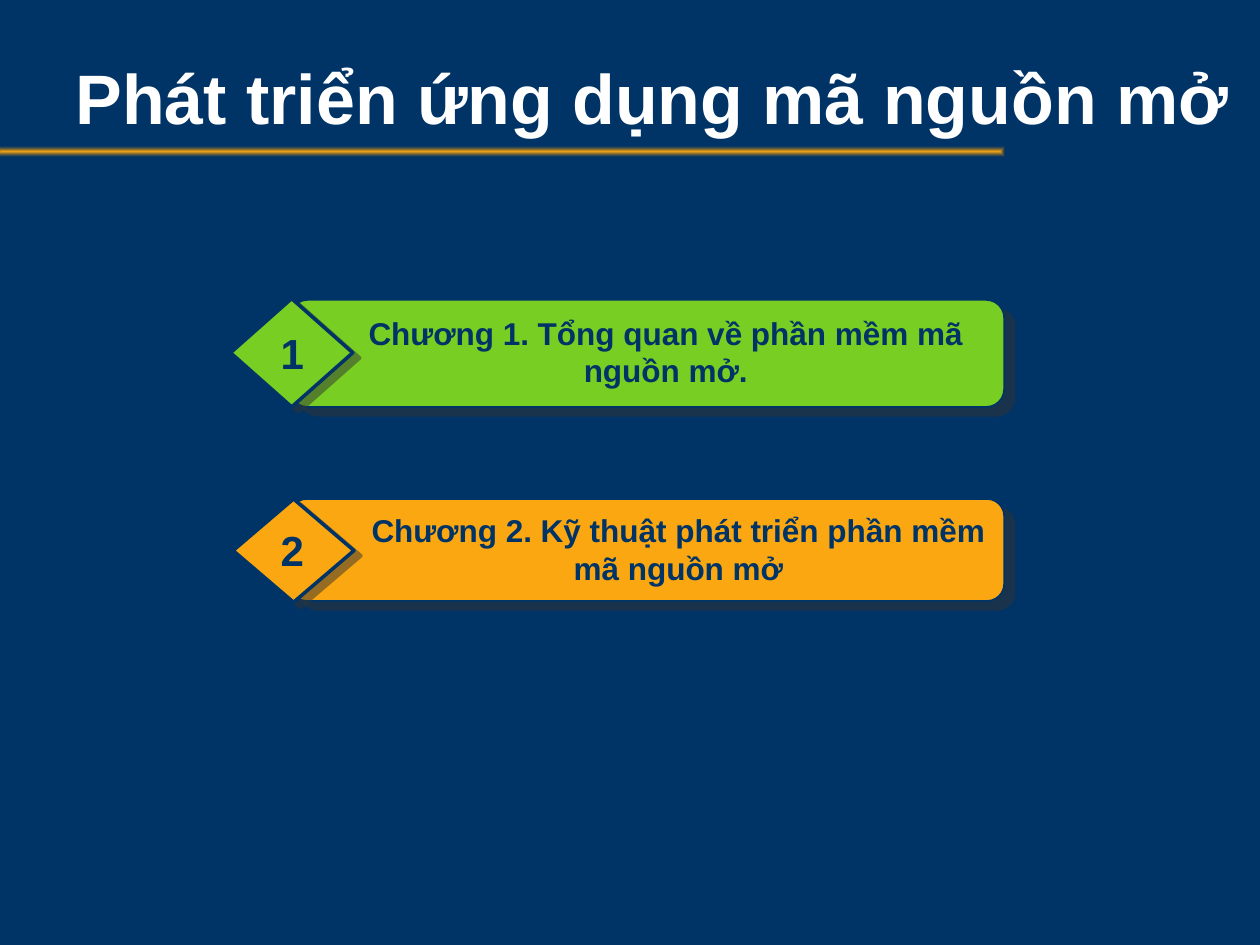
from dataclasses import dataclass

from lxml import etree
from pptx import Presentation
from pptx.dml.color import RGBColor
from pptx.enum.shapes import MSO_SHAPE as Shape
from pptx.enum.text import MSO_ANCHOR as Anchor, PP_ALIGN as Align
from pptx.oxml import parse_xml
from pptx.oxml.ns import nsdecls, qn
from pptx.util import Inches, Pt


@dataclass(frozen=True)
class Theme:
    font: str = "Arial"
    navy: str = "003366"
    white: str = "FFFFFF"
    green: str = "79CE24"
    orange: str = "FAA712"
    bronze: str = "B3770D"
    shadow: str = "333333"
    title_size: int = 40
    number_size: int = 24
    label_size: int = 18


@dataclass(frozen=True)
class Area:
    left: float
    top: float
    width: float
    height: float

    def lengths(self) -> list:
        return [Inches(v) for v in (self.left, self.top, self.width, self.height)]


@dataclass(frozen=True)
class Chapter:
    number: str
    label: str
    color: str
    bar: Area
    diamond: Area
    label_area: Area
    number_area: Area


THEME = Theme()

CHAPTERS = [
    Chapter("1", "Chương 1. Tổng quan về phần mềm mã nguồn mở.", THEME.green,
            Area(2.3, 2.38, 5.67, 0.85), Area(1.83, 2.37, 0.97, 0.86),
            Area(2.6, 2.44, 5.37, 1.01), Area(2.09, 2.55, 0.46, 0.51)),
    Chapter("2", "Chương 2. Kỹ thuật phát triển phần mềm mã nguồn mở", THEME.orange,
            Area(2.3, 3.96, 5.67, 0.81), Area(1.85, 3.96, 0.96, 0.82),
            Area(2.8, 4.01, 5.17, 0.71), Area(2.09, 4.11, 0.46, 0.51)),
]


def add_text(page, area: Area, text: str, size: int, color: str,
             align=Align.CENTER, anchor=Anchor.TOP, wrap: bool = True) -> None:
    frame = page.shapes.add_textbox(*area.lengths()).text_frame
    frame.word_wrap = wrap
    frame.vertical_anchor = anchor
    para = frame.paragraphs[0]
    para.alignment = align
    span = para.add_run()
    span.text = text
    formats = {"name": THEME.font, "size": Pt(size), "bold": True}
    for name, value in formats.items():
        setattr(span.font, name, value)
    span.font.color.rgb = RGBColor.from_string(color)


def add_shadow(box, distance: float, angle: int) -> None:
    box.shadow.inherit = False
    effects = box._element.spPr.find(qn("a:effectLst"))
    outer = etree.SubElement(effects, qn("a:outerShdw"), {
        "blurRad": "0", "dist": str(int(Pt(distance))), "dir": str(angle * 60000),
        "algn": "ctr", "rotWithShape": "0"})
    color = etree.SubElement(outer, qn("a:srgbClr"), val=THEME.shadow)
    etree.SubElement(color, qn("a:alpha"), val="50000")


def add_block(page, kind, area: Area, color: str, line_width: float,
              distance: float, angle: int):
    box = page.shapes.add_shape(kind, *area.lengths())
    box.fill.solid()
    box.fill.fore_color.rgb = RGBColor.from_string(color)
    box.line.color.rgb = RGBColor.from_string(THEME.navy)
    box.line.width = Pt(line_width)
    add_shadow(box, distance, angle)
    return box


def add_title_rule(page, area: Area) -> None:
    rule = page.shapes.add_shape(Shape.RECTANGLE, *area.lengths())
    rule.shadow.inherit = False
    rule.line.fill.background()
    # Glow from the centre that fades out at the edges
    gradient = parse_xml(
        f'<a:gradFill {nsdecls("a")} rotWithShape="1"><a:gsLst>'
        f'<a:gs pos="0"><a:srgbClr val="{THEME.orange}"/></a:gs>'
        f'<a:gs pos="100000"><a:srgbClr val="{THEME.bronze}">'
        '<a:alpha val="0"/></a:srgbClr></a:gs></a:gsLst>'
        '<a:path path="shape"><a:fillToRect l="50000" t="50000" r="50000" b="50000"/>'
        '</a:path></a:gradFill>')
    rule._element.spPr.find(qn("a:prstGeom")).addnext(gradient)


def add_chapter(page, chapter: Chapter) -> None:
    bar = add_block(page, Shape.ROUNDED_RECTANGLE, chapter.bar, chapter.color, 1, 7.8, 40)
    bar.adjustments[0] = 0.167
    add_block(page, Shape.DIAMOND, chapter.diamond, chapter.color, 2, 5, 37)
    add_text(page, chapter.label_area, chapter.label, THEME.label_size, THEME.navy)
    add_text(page, chapter.number_area, chapter.number, THEME.number_size, THEME.navy,
             wrap=False)


def main() -> None:
    deck = Presentation()
    deck.slide_width, deck.slide_height = Inches(10), Inches(7.5)
    page = deck.slides.add_slide(deck.slide_layouts[6])
    page.background.fill.solid()
    page.background.fill.fore_color.rgb = RGBColor.from_string(THEME.navy)

    # Heading
    add_title_rule(page, Area(-0.03, 1.16, 8, 0.08))
    add_text(page, Area(0.5, 0.18, 9.42, 1.17), "Phát triển ứng dụng mã nguồn mở",
             THEME.title_size, THEME.white, Align.LEFT, Anchor.MIDDLE)

    # Chapter list
    for chapter in CHAPTERS:
        add_chapter(page, chapter)

    deck.save("out.pptx")


if __name__ == "__main__":
    main()
